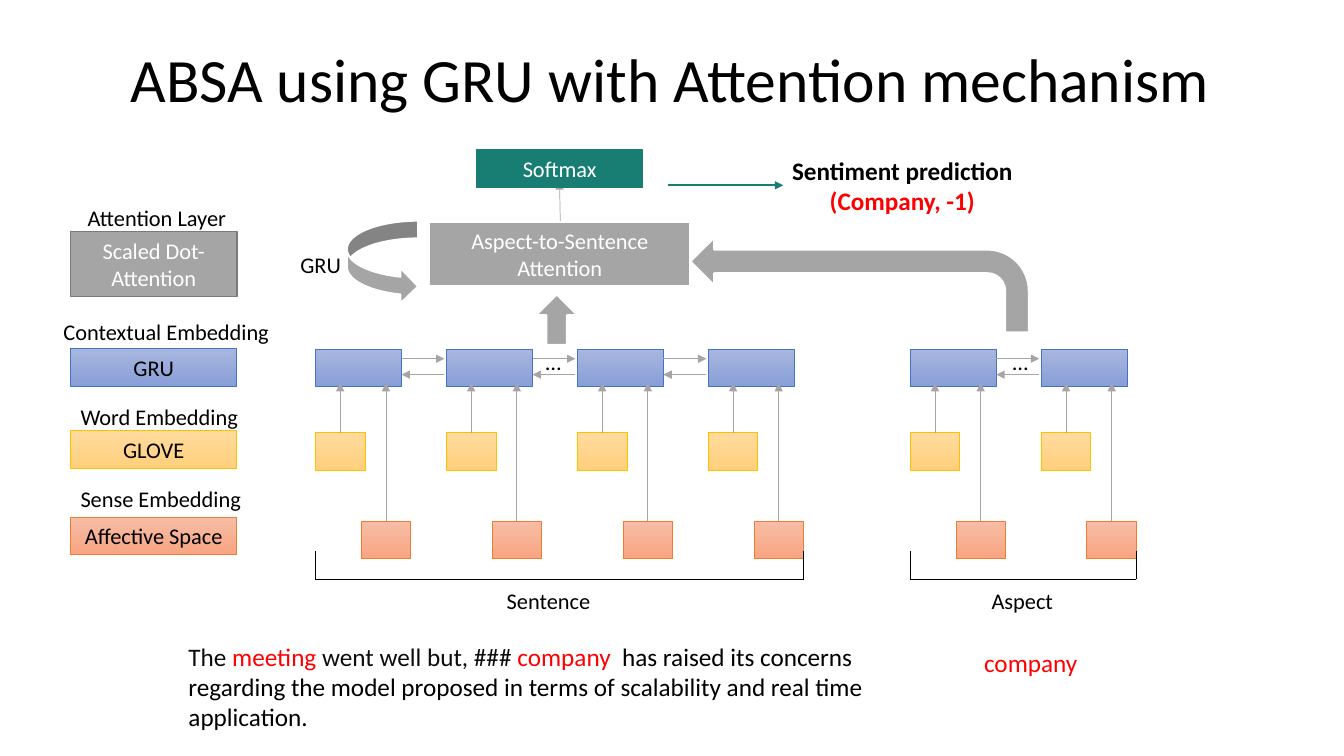
import pptx
import pptx.util
import pptx.dml.color
import pptx.enum.shapes
import pptx.enum.text
import pptx.oxml.ns
import lxml.etree

Cm = pptx.util.Cm
Pt = pptx.util.Pt
RGBColor = pptx.dml.color.RGBColor
Shape = pptx.enum.shapes.MSO_SHAPE
Align = pptx.enum.text.PP_ALIGN
qn = pptx.oxml.ns.qn

BLACK = RGBColor(0x00, 0x00, 0x00)
INK = RGBColor(0x0D, 0x0D, 0x0D)
WHITE = RGBColor(0xFF, 0xFF, 0xFF)
RED = RGBColor(0xFF, 0x00, 0x00)
GRAY = RGBColor(0xA5, 0xA5, 0xA5)
DARK_GRAY = RGBColor(0x7A, 0x7A, 0x7A)
TEAL = RGBColor(0x18, 0x7E, 0x74)
BLUE = (RGBColor(0xA8, 0xB7, 0xDF), RGBColor(0x88, 0x9E, 0xD7))
BLUE_EDGE = RGBColor(0x44, 0x72, 0xC4)
YELLOW = (RGBColor(0xFF, 0xDB, 0x9E), RGBColor(0xFF, 0xD0, 0x7C))
YELLOW_EDGE = RGBColor(0xFF, 0xC0, 0x00)
ORANGE = (RGBColor(0xF7, 0xBD, 0xA5), RGBColor(0xF8, 0xA5, 0x82))
ORANGE_EDGE = RGBColor(0xED, 0x7D, 0x31)

TITLE = "ABSA using GRU with Attention mechanism"
LAYERS = [
    {"name": "GRU", "legend_top": 8.79, "top": 8.8, "offset": 0, "width": 2.17,
     "fill": BLUE, "edge": BLUE_EDGE},
    {"name": "GLOVE", "legend_top": 10.85, "top": 10.9, "offset": 0, "width": 1.25,
     "fill": YELLOW, "edge": YELLOW_EDGE},
    {"name": "Affective Space", "legend_top": 13.03, "top": 13.13, "offset": 1.15,
     "width": 1.25, "fill": ORANGE, "edge": ORANGE_EDGE},
]
GROUPS = [(7.95, 4), (22.94, 2)]
LABELS = [
    ("Attention Layer", 1.96, 5.03, 5.84),
    ("Contextual Embedding", 1.35, 7.9, 5.84),
    ("Word Embedding", 1.78, 10.03, 5),
    ("Sense Embedding", 1.78, 12.09, 5),
    ("GRU", 7.32, 6.2, 1.78),
    ("…", 13.5, 8.64, 1.09),
    ("…", 25.27, 8.66, 1.09),
    ("Sentence", 12.52, 14.68, 4.24),
    ("Aspect", 24.74, 14.68, 4.24),
]
BOXES = [
    ("Aspect-to-Sentence Attention", 10.82, 5.59, 6.58, 1.63, GRAY, WHITE, 1.5),
    ("Scaled Dot-Attention", 1.78, 5.84, 4.19, 1.63, GRAY, DARK_GRAY, 1),
    ("Softmax", 12.01, 3.78, 4.19, 0.95, TEAL, TEAL, 1),
]
BLOCK_ARROWS = [
    (Shape.UP_ARROW, 13.51, 7.42, 1.04, 1.27),
    (Shape.BENT_ARROW, 17.4, 5.99, 8.53, 2.39),
    (Shape.CURVED_RIGHT_ARROW, 8.74, 5.56, 1.8, 2.11),
]
PREDICTION = [("Sentiment prediction", BLACK), ("(Company, -1)", RED)]
EXAMPLE = [
    ("The ", INK), ("meeting ", RED), ("went well but, ###", INK), (" company", RED),
    ("  has raised its concerns regarding the model proposed in terms of "
     "scalability and real time application.", BLACK),
]

PITCH = 3.3
BOX_HEIGHT = 0.95
LEGEND_LEFT, LEGEND_WIDTH = 1.78, 4.19
ARROW_TIP = 9.65
BRACKET_TOP, BRACKET_BOTTOM = 13.89, 14.6


def format_paragraph(paragraph, size, color, align=None):
    paragraph.font.name = "Calibri"
    paragraph.font.size = Pt(size)
    if color is not None:
        paragraph.font.color.rgb = color
    paragraph.alignment = align


def add_block(slide, kind, left, top, width, height, fill, edge, weight,
              text="", text_color=BLACK):
    shape = slide.shapes.add_shape(kind, Cm(left), Cm(top), Cm(width), Cm(height))
    shape.shadow.inherit = False
    if isinstance(fill, RGBColor):
        shape.fill.solid()
        shape.fill.fore_color.rgb = fill
    else:
        shape.fill.gradient()
        shape.fill.gradient_angle = 270
        for stop, color in zip(shape.fill.gradient_stops, fill):
            stop.color.rgb = color
    shape.line.color.rgb = edge
    shape.line.width = Pt(weight)
    if text:
        shape.text_frame.text = text
        format_paragraph(shape.text_frame.paragraphs[0], 16, text_color, Align.CENTER)
    return shape


def add_text(slide, left, top, width, height):
    box = slide.shapes.add_textbox(Cm(left), Cm(top), Cm(width), Cm(height))
    box.text_frame.word_wrap = True
    return box.text_frame


def add_line(slide, start, end, color, weight=0.5, arrow=True):
    connector = slide.shapes.add_connector(
        pptx.enum.shapes.MSO_CONNECTOR.STRAIGHT,
        Cm(start[0]), Cm(start[1]), Cm(end[0]), Cm(end[1]))
    connector.line.color.rgb = color
    connector.line.width = Pt(weight)
    properties = connector._element.spPr
    if arrow:
        lxml.etree.SubElement(properties.find(qn("a:ln")), qn("a:tailEnd"), type="triangle")
    lxml.etree.SubElement(properties, qn("a:effectLst"))


def add_network(slide, left, count):
    columns = [left + PITCH * index for index in range(count)]
    for column in columns:
        for layer in LAYERS:
            add_block(slide, Shape.RECTANGLE, column + layer["offset"], layer["top"],
                      layer["width"], BOX_HEIGHT, layer["fill"], layer["edge"], 0.5)
        for layer in LAYERS[1:]:
            center = column + layer["offset"] + layer["width"] / 2
            add_line(slide, (center, layer["top"]), (center, ARROW_TIP), GRAY)
    for column in columns[:-1]:
        near, far = column + LAYERS[0]["width"], column + PITCH - 0.05
        add_line(slide, (near, 9.04), (far, 9.04), GRAY)
        add_line(slide, (far, 9.44), (near, 9.44), GRAY)
    right = columns[-1] + LAYERS[-1]["offset"] + LAYERS[-1]["width"]
    corners = [(left, BRACKET_TOP), (left, BRACKET_BOTTOM),
               (right, BRACKET_BOTTOM), (right, BRACKET_TOP)]
    for start, end in zip(corners, corners[1:]):
        add_line(slide, start, end, BLACK, arrow=False)


def main():
    presentation = pptx.Presentation()
    presentation.slide_width, presentation.slide_height = Cm(33.87), Cm(19.05)
    slide = presentation.slides.add_slide(presentation.slide_layouts[5])

    title = slide.shapes.title
    title.left, title.top, title.width, title.height = Cm(2.29), Cm(0.25), Cm(29.21), Cm(3.68)
    title.text_frame.text = TITLE
    title.text_frame.vertical_anchor = pptx.enum.text.MSO_ANCHOR.MIDDLE
    format_paragraph(title.text_frame.paragraphs[0], 44, BLACK, Align.CENTER)
    title.text_frame.paragraphs[0].line_spacing = 0.9

    for layer in LAYERS:
        add_block(slide, Shape.RECTANGLE, LEGEND_LEFT, layer["legend_top"], LEGEND_WIDTH,
                  BOX_HEIGHT, layer["fill"], layer["edge"], 0.5, layer["name"])
    for left, count in GROUPS:
        add_network(slide, left, count)
    for kind, left, top, width, height in BLOCK_ARROWS:
        shape = add_block(slide, kind, left, top, width, height, GRAY, WHITE, 1.5)
        if kind == Shape.BENT_ARROW:
            shape._element.spPr.find(qn("a:xfrm")).set("flipH", "1")
    add_line(slide, (14.12, 5.59), (14.1, 4.57), GRAY)
    for text, left, top, width, height, fill, edge, weight in BOXES:
        add_block(slide, Shape.RECTANGLE, left, top, width, height, fill, edge, weight,
                  text, WHITE)
    for text, left, top, width in LABELS:
        frame = add_text(slide, left, top, width, BOX_HEIGHT)
        frame.text = text
        format_paragraph(frame.paragraphs[0], 16, BLACK)

    frame = add_text(slide, 14.27, 3.78, 16.94, 1.8)
    frame.text = "\n".join(text for text, color in PREDICTION)
    for paragraph, (text, color) in zip(frame.paragraphs, PREDICTION):
        format_paragraph(paragraph, 18, color, Align.CENTER)
        paragraph.font.bold = True
    add_line(slide, (16.84, 4.67), (19.74, 4.67), TEAL, 1.5)

    paragraph = add_text(slide, 4.5, 16.03, 19.61, 2.57).paragraphs[0]
    format_paragraph(paragraph, 18, None)
    for text, color in EXAMPLE:
        run = paragraph.add_run()
        run.text = text
        run.font.color.rgb = color
    frame = add_text(slide, 24.55, 16.18, 3.2, 1.02)
    frame.text = "company"
    format_paragraph(frame.paragraphs[0], 18, RED)

    presentation.save("out.pptx")


if __name__ == "__main__":
    main()
